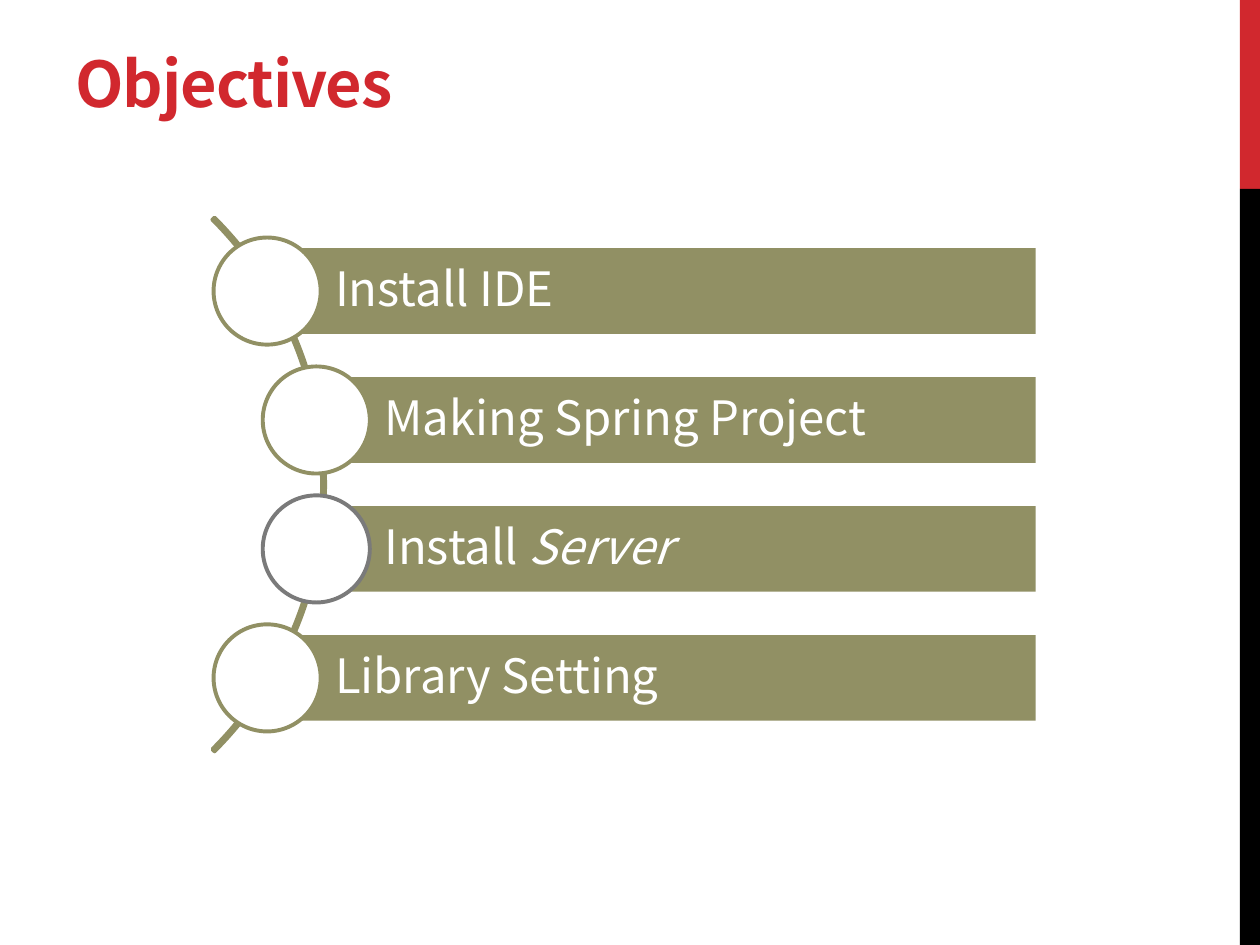
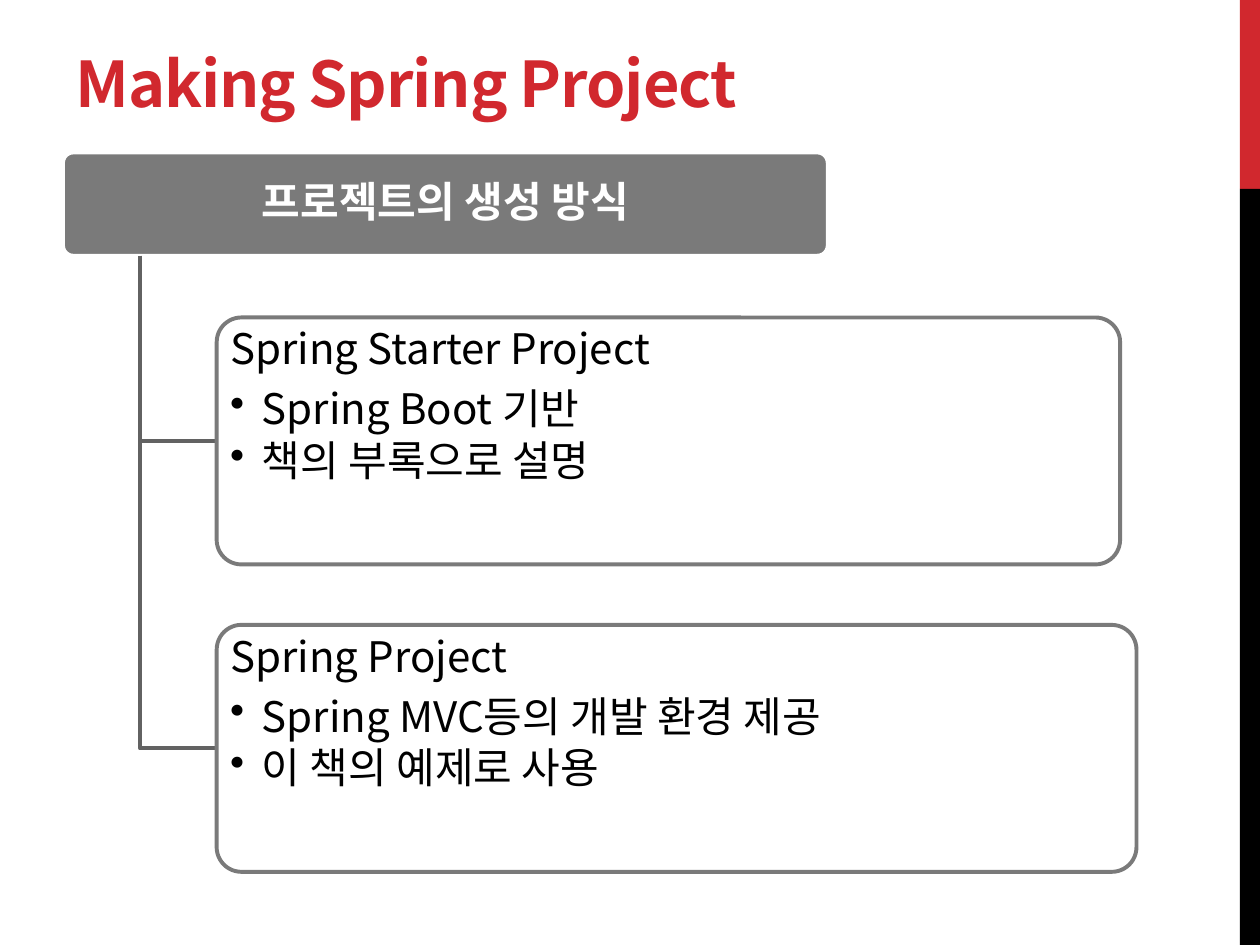
from pptx import Presentation
from pptx.dml.color import RGBColor as Rgb
from pptx.enum.shapes import MSO_SHAPE as Kind
from pptx.enum.text import MSO_ANCHOR as Anchor, PP_ALIGN as Align
from pptx.oxml.ns import qn
from pptx.util import Inches, Pt
from lxml.etree import SubElement as Sub

HUE = {"red": "D1282E", "black": "000000", "white": "FFFFFF",
       "olive": "919064", "gray": "7A7A7A", "dark": "626262"}
FONT = "Noto Sans CJK KR"
SIDES = ("margin_left", "margin_top", "margin_right", "margin_bottom")
TIGHT = (0.05, 0.03, 0.05, 0.03)


class Deck:
    def __init__(self):
        self.prs = Presentation()
        self.prs.slide_width, self.prs.slide_height = Inches(10), Inches(7.5)
        self.slide = None

    def page(self, title):
        """Start a slide with the side band and a title."""
        self.slide = self.prs.slides.add_slide(self.prs.slide_layouts[6])
        self.shape(Kind.RECTANGLE, (9.84, 0, 0.16, 1.5), "red")
        self.shape(Kind.RECTANGLE, (9.84, 1.5, 0.16, 6), "black")
        box = self.slide.shapes.add_textbox(*map(Inches, (0.5, 0.17, 8.36, 0.83)))
        self.frame(box, Anchor.BOTTOM, (0.1, 0.05, 0.1, 0.05))
        run = self.text(box, [title], {"size": Pt(36), "bold": True}, "red", {})
        run.font._element.set("spc", "-60")

    def paint(self, shape, fill, line):
        shape.shadow.inherit = False
        if fill:
            shape.fill.solid()
            shape.fill.fore_color.rgb = Rgb.from_string(HUE[fill])
        else:
            shape.fill.background()
        if line:
            shape.line.color.rgb = Rgb.from_string(HUE[line])
            shape.line.width = Pt(2.25)
        else:
            shape.line.fill.background()

    def shape(self, kind, at, fill=None, line=None, adjust=()):
        shape = self.slide.shapes.add_shape(kind, *map(Inches, at))
        for i, value in enumerate(adjust):
            shape.adjustments[i] = value
        self.paint(shape, fill, line)
        return shape

    def elbow(self, start, end, line):
        """Draw a line down from start, then across to end."""
        (x, y), (right, low) = start, end
        path = self.slide.shapes.build_freeform(Inches(x), Inches(y))
        path.add_line_segments([(Inches(x), Inches(low)),
                                (Inches(right), Inches(low))], close=False)
        self.paint(path.convert_to_shape(), None, line)

    def frame(self, shape, anchor, margins):
        frame = shape.text_frame
        frame.word_wrap = True
        frame.vertical_anchor = anchor
        for side, value in zip(SIDES, margins):
            setattr(frame, side, Inches(value))

    def text(self, shape, parts, font, hue, form):
        """Add a paragraph; parts are strings or (string, extra font values)."""
        frame = shape.text_frame
        first = frame.paragraphs[0]
        para = frame.add_paragraph() if first.runs else first
        for name, value in {"alignment": Align.LEFT, **form}.items():
            setattr(para, name, value)
        for part in parts:
            words, extra = (part, {}) if isinstance(part, str) else part
            run = para.add_run()
            run.text = words
            for name, value in {"name": FONT, **font, **extra}.items():
                setattr(run.font, name, value)
            run.font.color.rgb = Rgb.from_string(HUE[hue])
            Sub(run.font._element, qn("a:ea"), typeface=FONT)
        return run

    def bullet(self, shape, words, font, hue, form):
        self.text(shape, [words], font, hue, {**form, "level": 1})
        props = shape.text_frame.paragraphs[-1]._p.get_or_add_pPr()
        props.set("marL", str(Inches(0.25)))
        props.set("indent", str(Inches(-0.25)))
        Sub(props, qn("a:buChar"), char="•")


def goals(deck):
    deck.page("Objectives")
    deck.shape(Kind.BLOCK_ARC, (-3.41, 0.85, 5.99, 5.99), None, "olive",
               (189, 27, 0.004))
    rows = [(2.12, "olive", ["Install IDE"]),
            (2.51, "olive", ["Making Spring Project"]),
            (2.51, "gray", ["Install ", ("Server", {"italic": True})]),
            (2.12, "olive", ["Library Setting"])]
    size, high, right = 0.85, 0.68, 8.22
    top, last = 2.31, 5.38
    step = (last - top) / (len(rows) - 1)
    for i, (left, ring, parts) in enumerate(rows):
        mid = top + i * step
        bar = deck.shape(Kind.RECTANGLE,
                         (left, mid - high / 2, right - left, high), "olive")
        deck.frame(bar, Anchor.MIDDLE, (0.54, 0.07, 0.07, 0.07))
        deck.text(bar, parts, {"size": Pt(27)}, "white", {"line_spacing": 0.9})
        deck.shape(Kind.OVAL, (left - size / 2, mid - size / 2, size, size),
                   "white", ring)


def ways(deck):
    deck.page("Making Spring Project")
    font = {"size": Pt(24)}
    head = deck.shape(Kind.ROUNDED_RECTANGLE, (0.5, 1.21, 6.07, 0.82),
                      "gray", "white", (0.1,))
    deck.frame(head, Anchor.MIDDLE, TIGHT)
    deck.text(head, ["프로젝트의 생성 방식"], {**font, "bold": True}, "white",
              {"alignment": Align.CENTER, "line_spacing": 0.9})
    cards = [(2.52, 7.17, "Spring Starter Project",
              ["Spring Boot 기반", "책의 부록으로 설명"]),
             (4.96, 7.3, "Spring Project",
              ["Spring MVC등의 개발 환경 제공", "이 책의 예제로 사용"])]
    left, high = 1.72, 1.96
    for top, wide, name, notes in cards:
        deck.elbow((1.11, 2.03), (left, top + high / 2), "dark")
        card = deck.shape(Kind.ROUNDED_RECTANGLE, (left, top, wide, high),
                          "white", "gray", (0.1,))
        deck.frame(card, Anchor.TOP, TIGHT)
        deck.text(card, [name], font, "black",
                  {"line_spacing": 0.9, "space_after": Pt(8.4)})
        for note in notes:
            deck.bullet(card, note, font, "black",
                        {"line_spacing": 0.9, "space_after": Pt(3.6)})


def main():
    deck = Deck()
    goals(deck)
    ways(deck)
    deck.prs.save("out.pptx")


if __name__ == "__main__":
    main()
